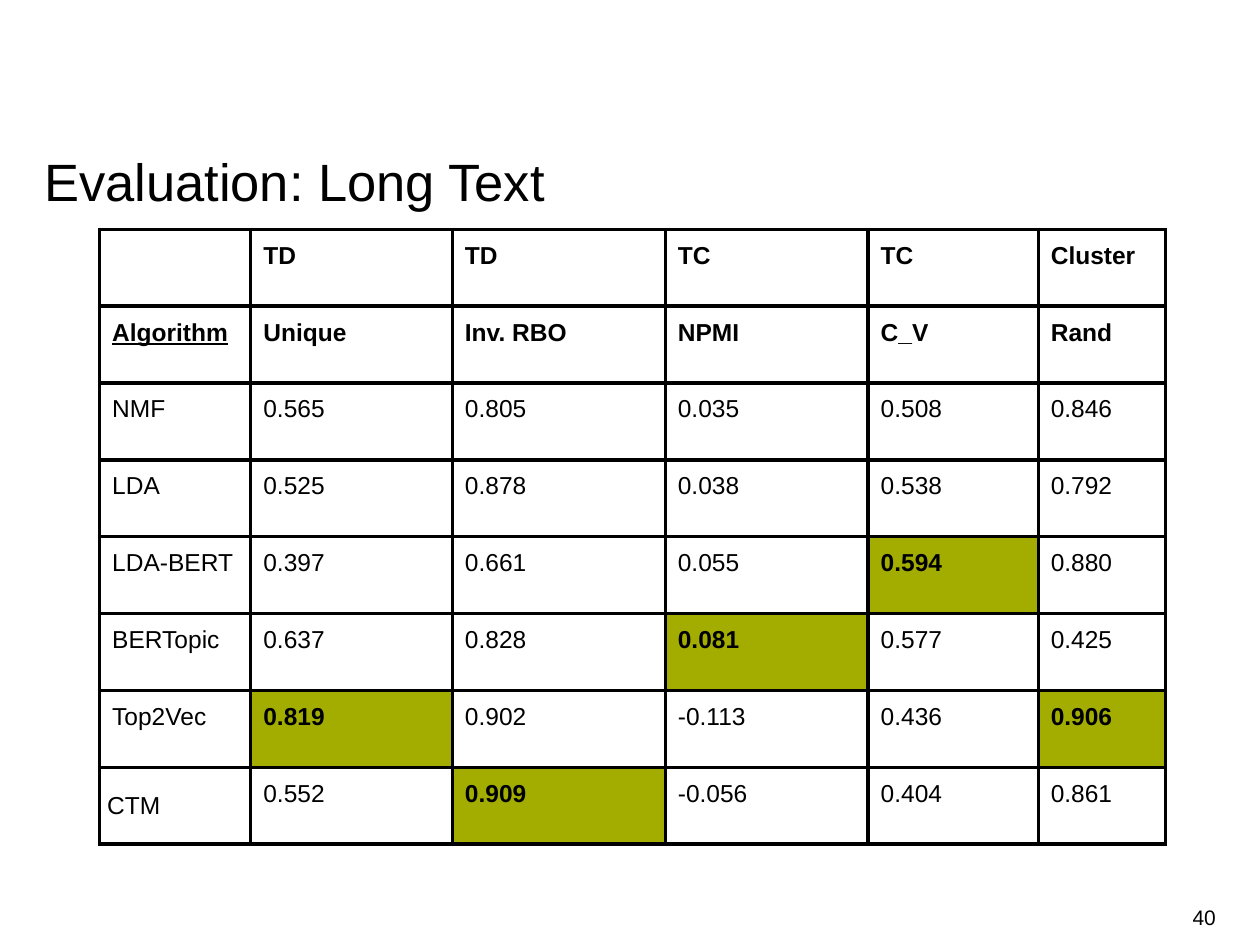
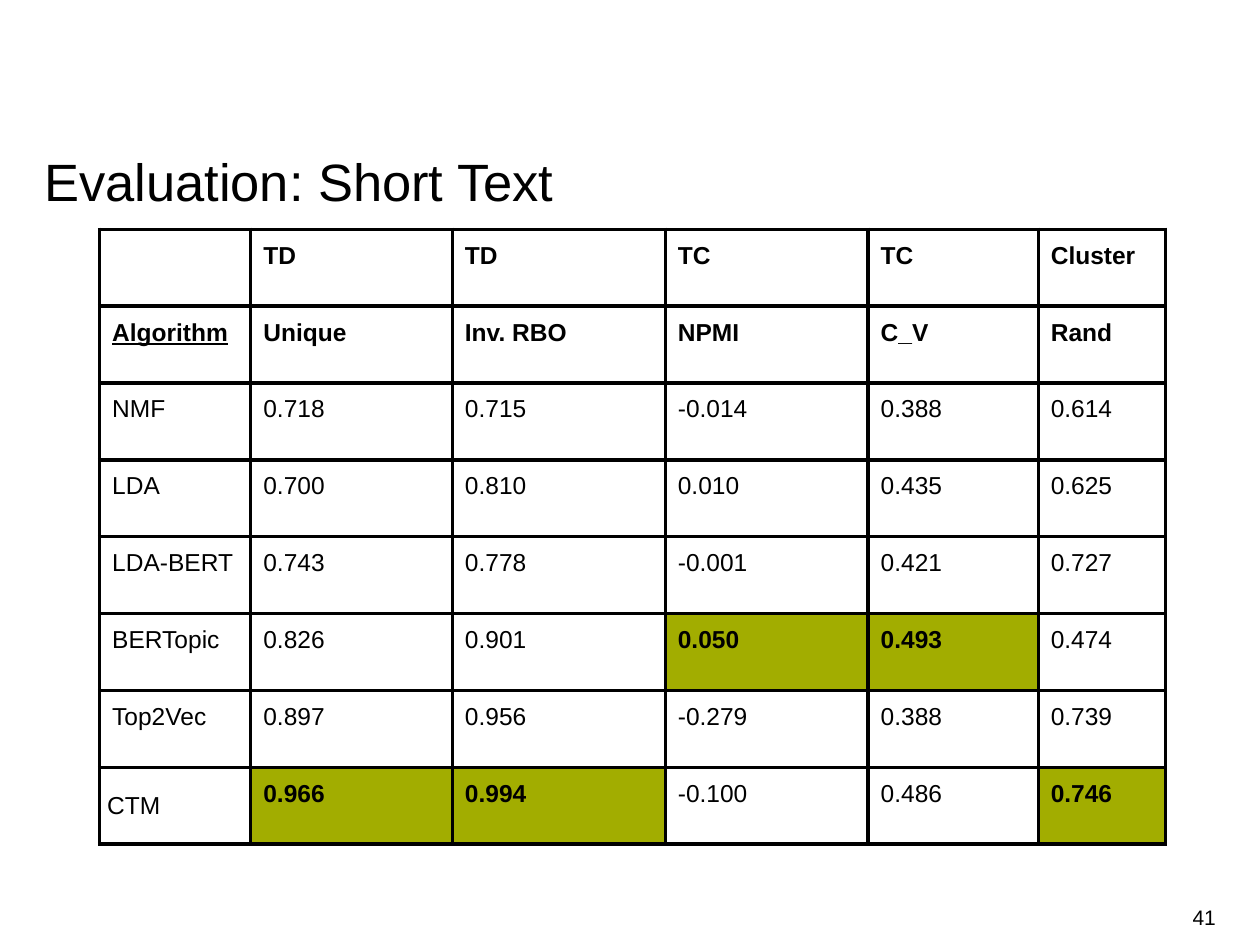
from lxml import etree
from pptx import Presentation
from pptx.dml.color import RGBColor
from pptx.enum.text import MSO_ANCHOR as ANCHOR, MSO_AUTO_SIZE as AUTO, PP_ALIGN as ALIGN
from pptx.oxml.ns import qn
from pptx.util import Inches, Pt

BLACK = RGBColor(0x00, 0x00, 0x00)
OLIVE = RGBColor(0xA2, 0xAD, 0x00)
FONT = "Arial"

COLS = [1.2, 1.6, 1.69, 1.61, 1.35, 1.01]
ROW_H = 0.61
HEADERS = [
    ["", "TD", "TD", "TC", "TC", "Cluster"],
    ["Algorithm", "Unique", "Inv. RBO", "NPMI", "C_V", "Rand"],
]
ALGORITHMS = ["NMF", "LDA", "LDA-BERT", "BERTopic", "Top2Vec", "CTM"]
EVALUATIONS = [
    (40, "Evaluation: Long Text", [
        [0.565, 0.805, 0.035, 0.508, 0.846],
        [0.525, 0.878, 0.038, 0.538, 0.792],
        [0.397, 0.661, 0.055, 0.594, 0.880],
        [0.637, 0.828, 0.081, 0.577, 0.425],
        [0.819, 0.902, -0.113, 0.436, 0.906],
        [0.552, 0.909, -0.056, 0.404, 0.861],
    ]),
    (41, "Evaluation: Short Text", [
        [0.718, 0.715, -0.014, 0.388, 0.614],
        [0.700, 0.810, 0.010, 0.435, 0.625],
        [0.743, 0.778, -0.001, 0.421, 0.727],
        [0.826, 0.901, 0.050, 0.493, 0.474],
        [0.897, 0.956, -0.279, 0.388, 0.739],
        [0.966, 0.994, -0.100, 0.486, 0.746],
    ]),
]


def write(tf, text, size=14, bold=False, underline=False, align=ALIGN.LEFT, spacing=1.0):
    p = tf.paragraphs[0]
    p.alignment = align
    p.line_spacing = spacing
    r = p.add_run()
    r.text = text
    r.font.name = FONT
    r.font.size = Pt(size)
    r.font.bold = bold
    r.font.underline = underline
    r.font.color.rgb = BLACK


def add_borders(cell):
    tcPr = cell._tc.get_or_add_tcPr()
    for i, side in enumerate(("lnL", "lnR", "lnT", "lnB")):
        ln = etree.Element(qn(f"a:{side}"), w=str(Pt(2.25)))
        fill = etree.SubElement(ln, qn("a:solidFill"))
        etree.SubElement(fill, qn("a:srgbClr"), val=str(BLACK))
        tcPr.insert(i, ln)


prs = Presentation()
prs.slide_width = Inches(10)
prs.slide_height = Inches(7.5)

for number, title, scores in EVALUATIONS:
    s = prs.slides.add_slide(prs.slide_layouts[5])

    sp = s.shapes.title
    sp.left, sp.top, sp.width, sp.height = [Inches(v) for v in (0.35, 1.1, 9.31, 0.45)]
    tf = sp.text_frame
    tf.auto_size = AUTO.NONE
    tf.vertical_anchor = ANCHOR.TOP
    tf.margin_left = tf.margin_right = tf.margin_bottom = 0
    tf.margin_top = Inches(0.05)
    write(tf, title, size=30, spacing=1.06)

    sp = s.shapes.add_textbox(Inches(7.41), Inches(7.08), Inches(2.24), Inches(0.4))
    tf = sp.text_frame
    tf.word_wrap = True
    tf.vertical_anchor = ANCHOR.MIDDLE
    tf.margin_left = tf.margin_right = 0
    write(tf, str(number), size=12, align=ALIGN.RIGHT)

    best = [max(column) for column in zip(*scores)]
    rows = HEADERS + [[name, *values] for name, values in zip(ALGORITHMS, scores)]
    table = s.shapes.add_table(
        len(rows), len(COLS), Inches(0.79), Inches(1.82),
        Inches(sum(COLS)), Inches(ROW_H * len(rows))).table
    table.first_row = table.horz_banding = False
    for column, width in zip(table.columns, COLS):
        column.width = Inches(width)

    for i, row in enumerate(rows):
        table.rows[i].height = Inches(ROW_H)
        for j, value in enumerate(row):
            cell = table.cell(i, j)
            is_header = i < len(HEADERS)
            is_best = not is_header and j > 0 and value == best[j - 1]
            margin = Inches(0.06 if value == "CTM" else 0.1)
            cell.margin_left = cell.margin_right = margin
            cell.margin_top = cell.margin_bottom = margin
            cell.vertical_anchor = ANCHOR.MIDDLE if value == "CTM" else ANCHOR.TOP
            if is_best:
                cell.fill.solid()
                cell.fill.fore_color.rgb = OLIVE
            else:
                cell.fill.background()
            add_borders(cell)
            if value != "":
                text = value if isinstance(value, str) else f"{value:.3f}"
                write(cell.text_frame, text, bold=is_header or is_best,
                      underline=value == "Algorithm")

prs.save("out.pptx")
